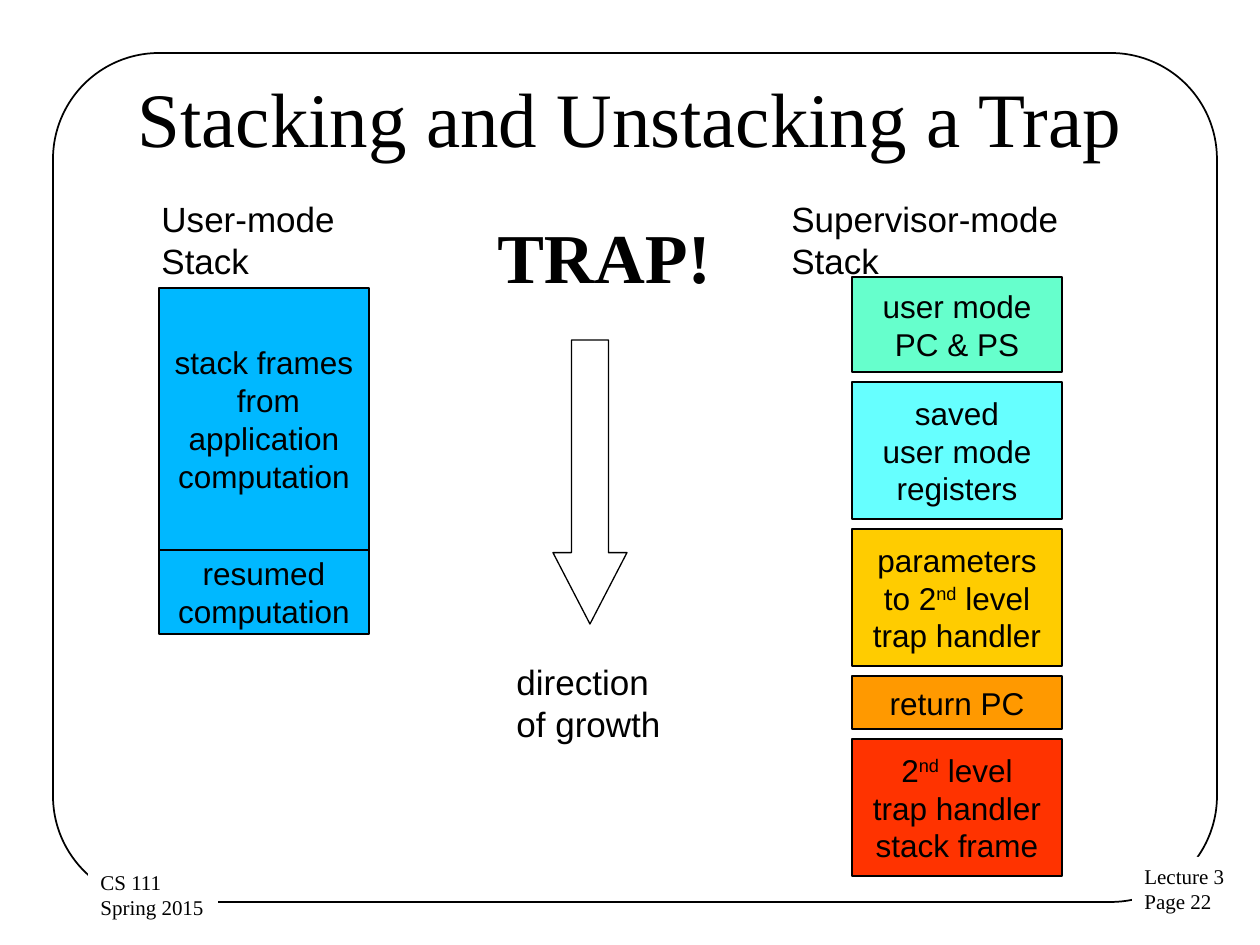
from pptx import Presentation
from pptx import util as u
from pptx.dml.color import RGBColor
from pptx.enum import shapes, text

PX = 914400 / 126


def place(shape, *box):
    shape.left, shape.top, shape.width, shape.height = [u.Emu(round(n * PX)) for n in box]


def write(shape, lines, size, font, align=text.PP_ALIGN.LEFT,
          anchor=text.MSO_ANCHOR.TOP, bold=False, wrap=False):
    frame = shape.text_frame
    frame.word_wrap = wrap
    frame.vertical_anchor = anchor
    for i, line in enumerate(lines):
        paragraph = frame.add_paragraph() if i else frame.paragraphs[0]
        paragraph.alignment = align
        for j, part in enumerate(line.split("^")):
            run = paragraph.add_run()
            run.text = part
            run.font.size = u.Pt(size)
            run.font.name = font
            run.font.bold = bold
            run.font.color.rgb = RGBColor.from_string("000000")
            if j % 2:
                run.font._element.set("baseline", "30000")


presentation = Presentation()
presentation.slide_width = u.Inches(10)
presentation.slide_height = u.Inches(7.5)
slide = presentation.slides.add_slide(presentation.slide_layouts[5])

title = slide.shapes.title
place(title, 63, 38, 1134, 157)
write(title, ["Stacking and Unstacking a Trap"], 44, "Times New Roman",
      text.PP_ALIGN.CENTER, text.MSO_ANCHOR.MIDDLE, wrap=True)

outlines = [
    (shapes.MSO_SHAPE.ROUNDED_RECTANGLE, (53, 53, 1164, 849), [0.125], 1),
    (shapes.MSO_SHAPE.DOWN_ARROW, (553, 340, 74, 284), [0.5, 0.964], 0.75),
]
for kind, box, adjustments, weight in outlines:
    shape = slide.shapes.add_shape(kind, 0, 0, 0, 0)
    place(shape, *box)
    shape.shadow.inherit = False
    shape.fill.background()
    shape.line.color.rgb = RGBColor.from_string("000000")
    shape.line.width = u.Pt(weight)
    for i, value in enumerate(adjustments):
        shape.adjustments[i] = value

footers = [
    ((1132, 857, 105, 64), ["Lecture 3", "Page 22"]),
    ((88, 863, 130, 64), ["CS 111", "Spring 2015"]),
]
for box, lines in footers:
    shape = slide.shapes.add_textbox(0, 0, 0, 0)
    place(shape, *box)
    shape.fill.solid()
    shape.fill.fore_color.rgb = RGBColor.from_string("FFFFFF")
    write(shape, lines, 12, "Times New Roman")

labels = [
    ((149, 191, 296, 97), ["User-mode", "Stack"], 20, "Arial", False),
    ((779, 191, 389, 97), ["Supervisor-mode", "Stack"], 20, "Arial", False),
    ((504, 654, 180, 97), ["direction", "of growth"], 20, "Arial", False),
    ((485, 207, 242, 97), ["TRAP!"], 40, "Times New Roman", True),
]
for box, lines, size, font, bold in labels:
    shape = slide.shapes.add_textbox(0, 0, 0, 0)
    place(shape, *box)
    write(shape, lines, size, font, bold=bold, wrap=True)

user_frames = [
    (262, "00B8FF", ["stack frames", " from", "application", "computation"]),
    (84, "00B8FF", ["resumed", "computation"]),
]
supervisor_frames = [
    (95, "66FFCC", ["user mode", "PC & PS"]),
    (137, "66FFFF", ["saved", "user mode", "registers"]),
    (137, "FFCC00", ["parameters", "to 2^nd^ level", "trap handler"]),
    (53, "FF9900", ["return PC"]),
    (137, "FF3300", ["2^nd^ level", "trap handler", "stack frame"]),
]
for left, top, gap, frames in [(159, 288, 0, user_frames), (852, 277, 10, supervisor_frames)]:
    for height, color, lines in frames:
        shape = slide.shapes.add_shape(shapes.MSO_SHAPE.RECTANGLE, 0, 0, 0, 0)
        place(shape, left, top, 210, height)
        shape.shadow.inherit = False
        shape.fill.solid()
        shape.fill.fore_color.rgb = RGBColor.from_string(color)
        shape.line.color.rgb = RGBColor.from_string("000000")
        shape.line.width = u.Pt(0.75)
        write(shape, lines, 18, "Arial", text.PP_ALIGN.CENTER, text.MSO_ANCHOR.MIDDLE)
        top += height + gap

presentation.save("out.pptx")
